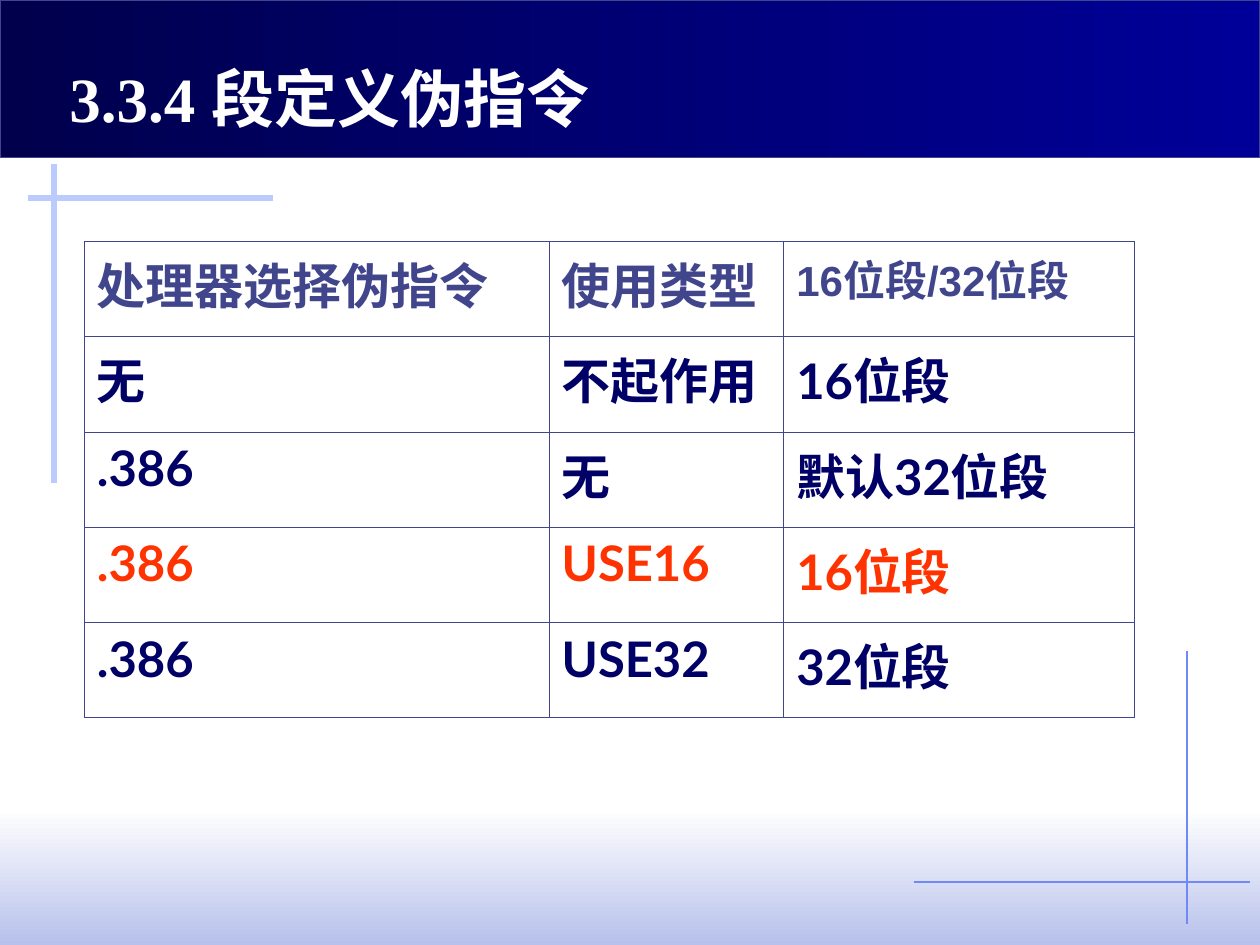
import pptx
import pptx.util
import pptx.dml.color
import pptx.enum.shapes
import pptx.enum.text
import pptx.oxml.ns
from lxml import etree

Cm, Pt = pptx.util.Cm, pptx.util.Pt
qn = pptx.oxml.ns.qn

COLORS = {
    "white": "FFFFFF", "mist": "B7C1EB", "night": "00004D", "blue": "000099",
    "edge": "40458C", "pale": "BBCBFD", "thin": "6F89F7",
    "navy": "000066", "red": "FF3300",
}
TITLE = "3.3.4 段定义伪指令"
ROWS = [
    ("处理器选择伪指令", "使用类型", "16位段/32位段"),
    ("无", "不起作用", "16位段"),
    (".386", "无", "默认32位段"),
    (".386", "USE16", "16位段"),
    (".386", "USE32", "32位段"),
]
MARKED = 3
COLS = (9.37, 4.73, 7.06)
ROW_H = 1.92
# x1, y1, x2, y2, colour, points
LINES = [
    (23.93, 13.13, 23.93, 18.62, "thin", 0.75),
    (18.42, 17.78, 25.2, 17.78, "thin", 0.75),
    (5.51, 3.99, 0.56, 3.99, "pale", 3),
    (1.09, 3.3, 1.09, 9.73, "pale", 3),
]


def rgb(name):
    return pptx.dml.color.RGBColor.from_string(COLORS[name])


def add_band(slide, top, high, ends, angle, edge=None):
    """Full-width bar with a two-colour gradient."""
    kind = pptx.enum.shapes.MSO_SHAPE.RECTANGLE
    bar = slide.shapes.add_shape(kind, 0, Cm(top), Cm(25.4), Cm(high))
    bar.shadow.inherit = False
    bar.fill.gradient()
    bar.fill.gradient_angle = angle
    for stop, name, place in zip(bar.fill.gradient_stops, ends, (0, 1)):
        stop.color.rgb = rgb(name)
        stop.position = place
    if edge:
        bar.line.color.rgb = rgb(edge)
        bar.line.width = Pt(0.75)
    else:
        bar.line.fill.background()


def add_line(slide, x1, y1, x2, y2, name, width):
    kind = pptx.enum.shapes.MSO_CONNECTOR.STRAIGHT
    line = slide.shapes.add_connector(kind, Cm(x1), Cm(y1), Cm(x2), Cm(y2))
    line.line.color.rgb = rgb(name)
    line.line.width = Pt(width)
    etree.SubElement(line._element.spPr, qn("a:effectLst"))


def style(frame, face, size, name):
    for run in frame.paragraphs[0].runs:
        run.font.name = face
        run.font.size = Pt(size)
        run.font.bold = True
        run.font.color.rgb = rgb(name)


def add_title(slide):
    box = slide.shapes.add_textbox(Cm(1.15), Cm(1.08), Cm(11.8), Cm(1.78))
    frame = box.text_frame
    frame.word_wrap = True
    frame.auto_size = pptx.enum.text.MSO_AUTO_SIZE.SHAPE_TO_FIT_TEXT
    frame.text = TITLE
    style(frame, "Times New Roman", 36, "white")


def add_edges(cell):
    props = cell._tc.get_or_add_tcPr()
    for spot, side in enumerate(("lnL", "lnR", "lnT", "lnB")):
        edge = etree.Element(qn("a:" + side), w=str(Pt(0.45)))
        fill = etree.SubElement(edge, qn("a:solidFill"))
        etree.SubElement(fill, qn("a:srgbClr"), val=COLORS["edge"])
        props.insert(spot, edge)


def look(row, col):
    """Font, size and colour of a cell."""
    if row == 0:
        return ("Arial", 24, "edge") if col == 2 else ("Times New Roman", 28, "edge")
    return "Lato", 28, "red" if row == MARKED else "navy"


def add_grid(slide):
    shape = slide.shapes.add_table(
        len(ROWS), len(COLS), Cm(1.7), Cm(4.87),
        Cm(sum(COLS)), Cm(ROW_H * len(ROWS)))
    table = shape.table
    table.first_row = table.horz_banding = False
    for col, width in zip(table.columns, COLS):
        col.width = Cm(width)
    for r, texts in enumerate(ROWS):
        table.rows[r].height = Cm(ROW_H)
        for c, text in enumerate(texts):
            cell = table.cell(r, c)
            cell.fill.background()
            cell.text_frame.text = text
            style(cell.text_frame, *look(r, c))
            add_edges(cell)


def main():
    deck = pptx.Presentation()
    deck.slide_width, deck.slide_height = Cm(25.4), Cm(19.05)
    slide = deck.slides.add_slide(deck.slide_layouts[6])
    add_band(slide, 16.31, 2.74, ("white", "mist"), 270)
    add_band(slide, 0, 3.18, ("night", "blue"), 0, "edge")
    for line in LINES:
        add_line(slide, *line)
    add_title(slide)
    add_grid(slide)
    deck.save("out.pptx")


if __name__ == "__main__":
    main()
